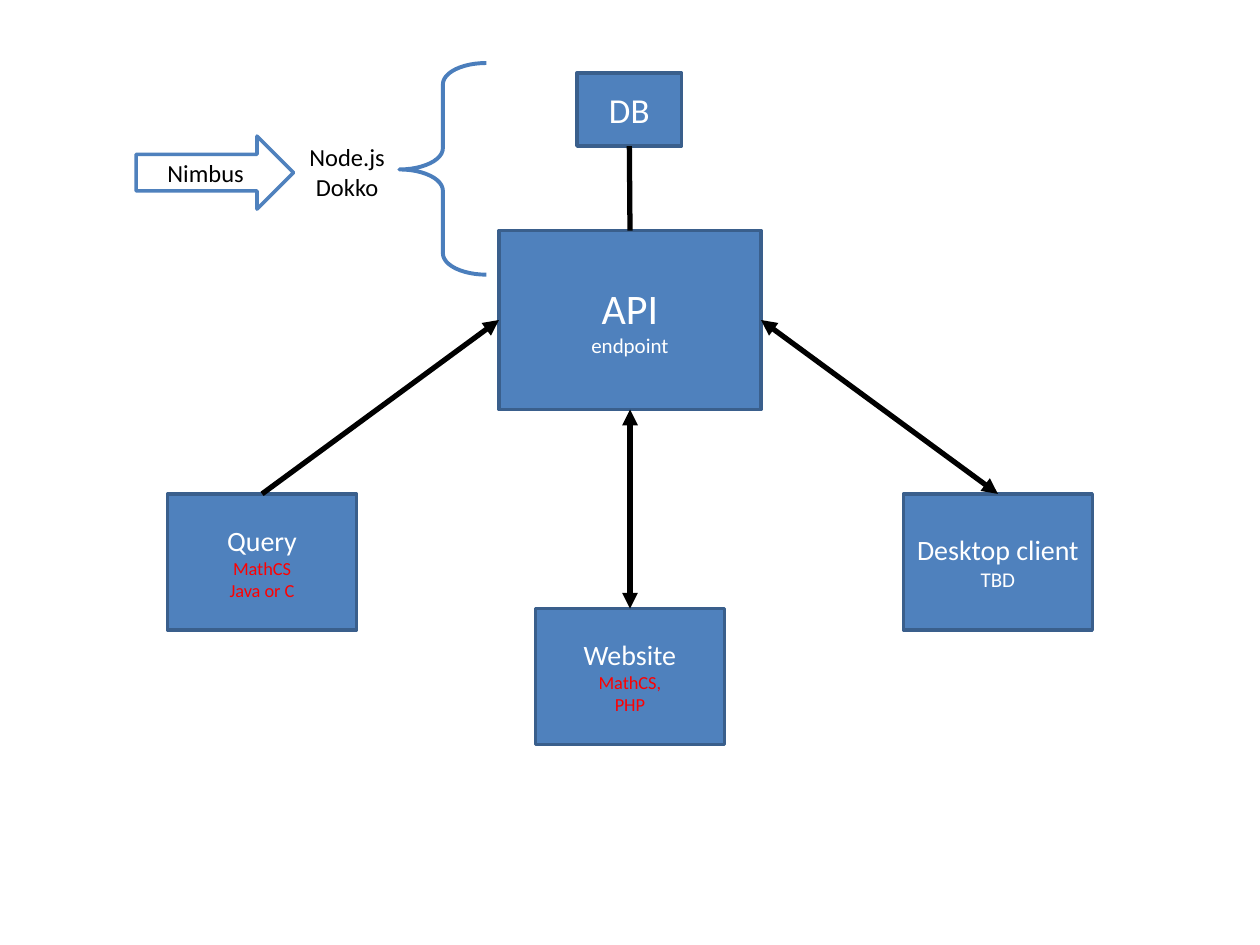
from lxml.etree import SubElement
from pptx import Presentation
from pptx.dml.color import RGBColor
from pptx.enum.shapes import MSO_CONNECTOR, MSO_SHAPE
from pptx.enum.text import MSO_ANCHOR, PP_ALIGN
from pptx.oxml.ns import qn
from pptx.util import Inches, Pt

BLUE = "4F81BD"
WHITE = "FFFFFF"
BLACK = "000000"
RED = "FF0000"
TOP, LEFT, BOTTOM, RIGHT = range(4)


def color(value):
    return RGBColor.from_string(value)


def write(para, text, size=14, ink=WHITE):
    para.alignment = PP_ALIGN.CENTER
    span = para.add_run()
    span.text = text
    span.font.name = "Calibri"
    span.font.size = Pt(size)
    span.font.color.rgb = color(ink)


def fill_text(frame, lines, anchor=MSO_ANCHOR.MIDDLE):
    frame.word_wrap = True
    frame.vertical_anchor = anchor
    for index, (text, style) in enumerate(lines):
        para = frame.add_paragraph() if index else frame.paragraphs[0]
        write(para, text, **style)


def add_figure(page, kind, place, lines=(), fill=None, outline=BLUE, width=2):
    shape = page.shapes.add_shape(kind, *map(Inches, place))
    shape.shadow.inherit = False
    if fill:
        shape.fill.solid()
        shape.fill.fore_color.rgb = color(fill)
    else:
        shape.fill.background()
    shape.line.color.rgb = color(outline)
    shape.line.width = Pt(width)
    fill_text(shape.text_frame, lines)
    return shape


def add_node(page, place, title, title_size=16, details=(), **detail_style):
    lines = [(title, {"size": title_size})]
    lines += [(detail, detail_style) for detail in details]
    return add_figure(page, MSO_SHAPE.RECTANGLE, place, lines,
                      fill=BLUE, outline="3A5F8C")


def add_link(page, start, start_site, end, end_site, arrows=()):
    link = page.shapes.add_connector(MSO_CONNECTOR.STRAIGHT, 0, 0, 0, 0)
    link.begin_connect(start, start_site)
    link.end_connect(end, end_site)
    link.line.color.rgb = color(BLACK)
    link.line.width = Pt(3)
    outline = link._element.spPr.find(qn("a:ln"))
    for arrow in arrows:
        SubElement(outline, qn(f"a:{arrow}"), type="triangle")
    SubElement(link._element.spPr, qn("a:effectLst"))


def add_label(page, place, lines):
    box = page.shapes.add_textbox(*map(Inches, place))
    fill_text(box.text_frame, lines, MSO_ANCHOR.TOP)


def main():
    deck = Presentation()
    deck.slide_width, deck.slide_height = Inches(10), Inches(7.5)
    page = deck.slides.add_slide(deck.slide_layouts[6])

    database = add_node(page, (4.58, 0.58, 0.83, 0.58), "DB", 20)
    api = add_node(page, (3.96, 1.83, 2.08, 1.42), "API", 24, ["endpoint"], size=12)
    query = add_node(page, (1.33, 3.92, 1.5, 1.08), "Query",
                     details=["MathCS", "Java or C"], size=10.5, ink=RED)
    website = add_node(page, (4.25, 4.83, 1.5, 1.08), "Website",
                       details=["MathCS,", "PHP"], size=10.5, ink=RED)
    desktop = add_node(page, (7.17, 3.92, 1.5, 1.08), "Desktop client",
                       details=["TBD"], size=12)

    both = ("headEnd", "tailEnd")
    add_link(page, api, BOTTOM, website, TOP, both)
    add_link(page, api, LEFT, query, TOP, ("headEnd",))
    add_link(page, api, RIGHT, desktop, TOP, both)
    add_link(page, database, BOTTOM, api, TOP)

    brace = add_figure(page, MSO_SHAPE.LEFT_BRACE, (3.17, 0.5, 0.69, 1.68),
                       outline="4B7EBC", width=2.25)
    brace.adjustments[0] = 0.245
    brace.adjustments[1] = 0.503

    dark = {"ink": BLACK}
    add_label(page, (2.17, 1.08, 1.17, 0.88), [("Node.js", dark), ("Dokko", dark)])
    add_figure(page, MSO_SHAPE.RIGHT_ARROW, (1.08, 1.08, 1.25, 0.58),
               [("Nimbus", dark)], fill=WHITE)

    deck.save("out.pptx")


main()
